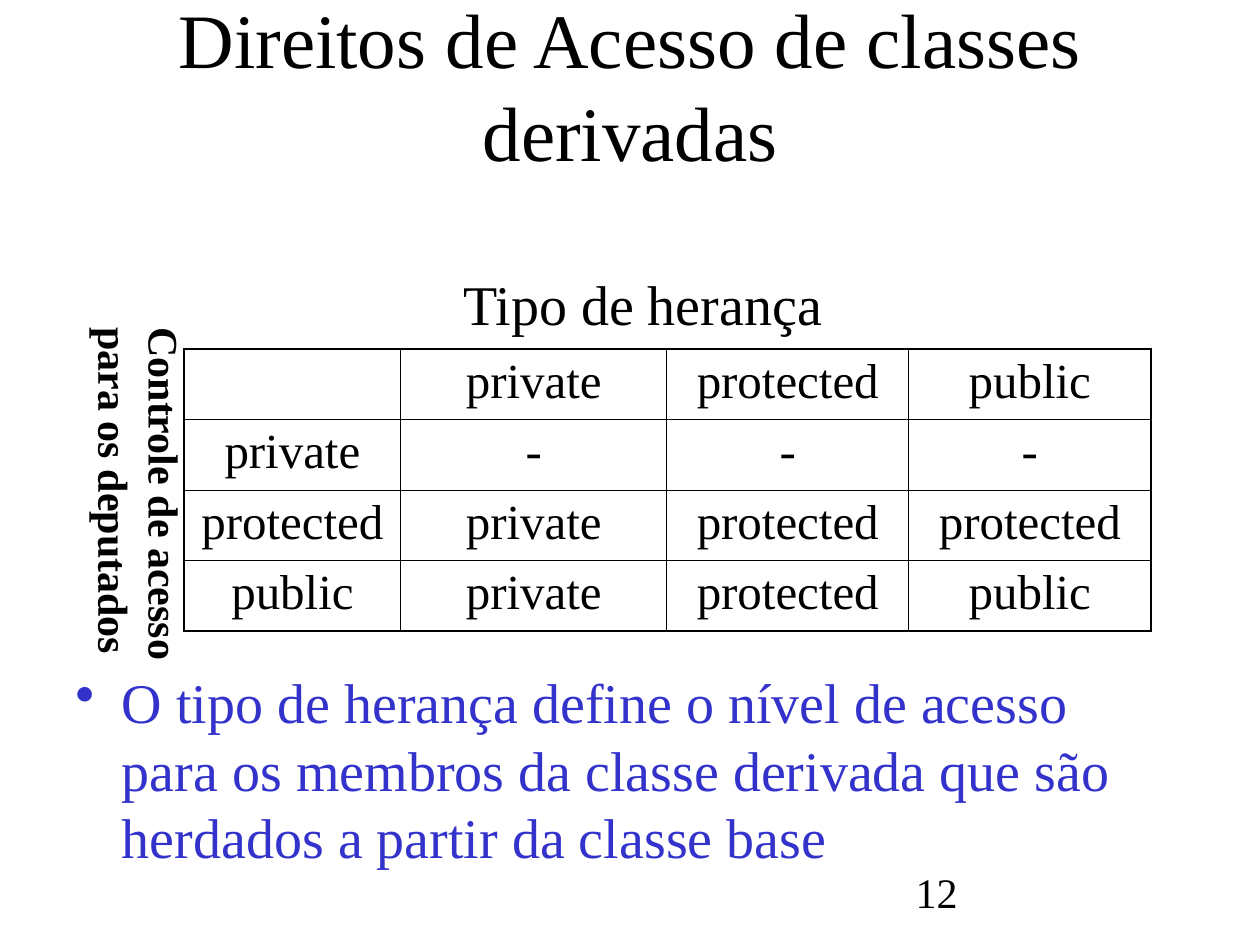
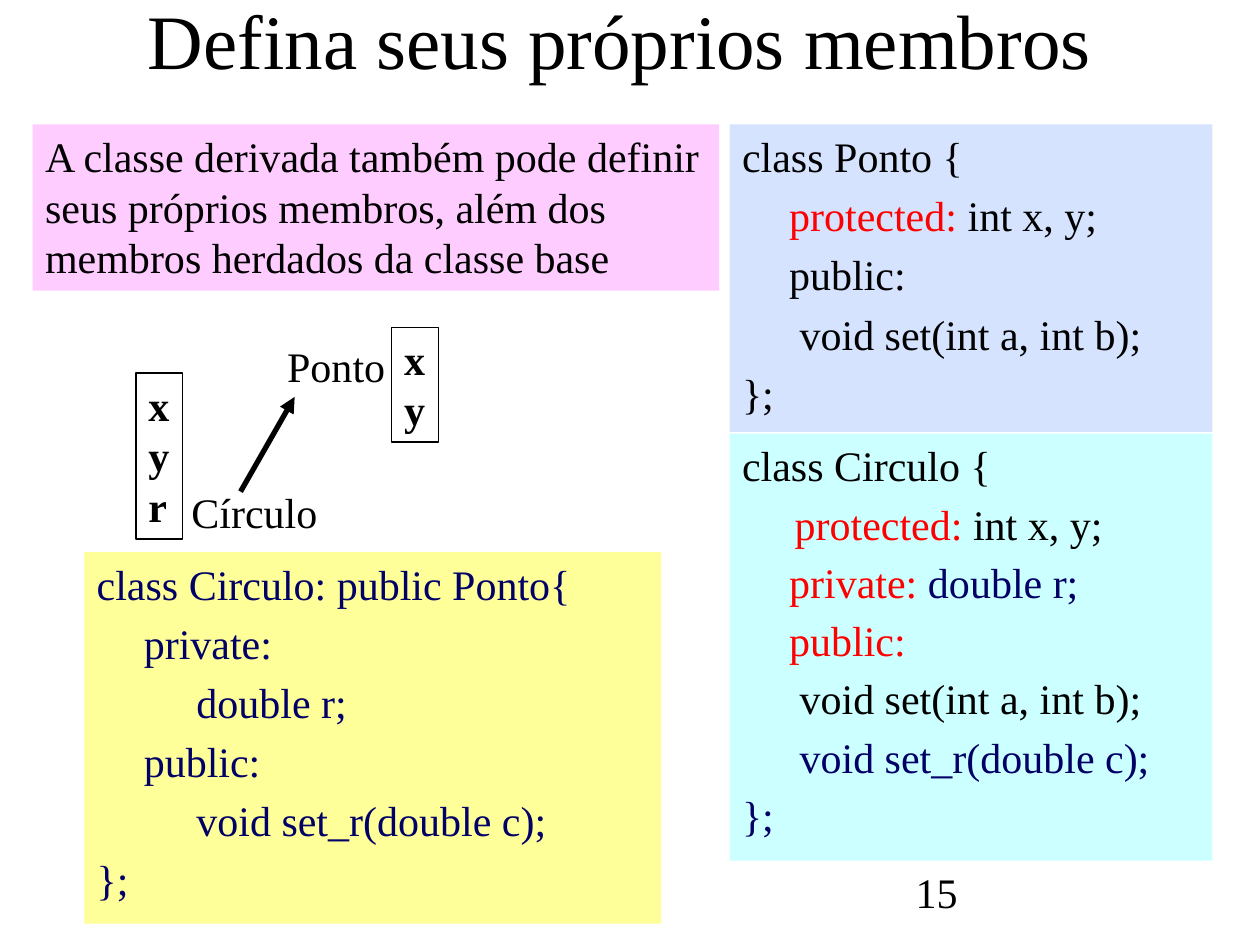
"""Build two slides on access rights and members of derived classes."""
from dataclasses import dataclass

from lxml import etree
from pptx import Presentation
from pptx.dml.color import RGBColor as RGB
from pptx.enum.shapes import MSO_CONNECTOR as LINE, MSO_SHAPE as SHAPE
from pptx.enum.text import MSO_ANCHOR as ANCHOR, MSO_AUTO_SIZE as FIT, PP_ALIGN as ALIGN
from pptx.oxml.ns import qn
from pptx.util import Cm, Pt


@dataclass(frozen=True)
class Theme:
    font: str = "Times New Roman"
    black: str = "000000"
    red: str = "FF0000"
    navy: str = "000066"
    blue: str = "3333CC"
    sky: str = "D5E3FF"
    cyan: str = "CCFFFF"
    yellow: str = "FFFF99"
    pink: str = "FFCCFF"
    title: int = 44
    large: int = 32
    cell: int = 28
    text: int = 24


T = Theme()


def write(tf, *lines, size=T.text, color=T.black, bold=False, align=ALIGN.LEFT, before=0):
    """Fill a frame; a line is a string or (left indent, (text, colour), ...)."""
    for i, line in enumerate(lines):
        p = tf.add_paragraph() if i else tf.paragraphs[0]
        p.alignment = align
        p.space_before = Pt(before)
        indent, *runs = (0, (line, color)) if isinstance(line, str) else line
        if indent:
            p._p.get_or_add_pPr().set("marL", str(Cm(indent)))
        for text, run_color in runs:
            r = p.add_run()
            r.text = text
            r.font.name, r.font.size, r.font.bold = T.font, Pt(size), bold
            r.font.color.rgb = RGB.from_string(run_color)


def add_box(s, left, top, width, height, *lines, fill=None, line=False, wrap=True, **fmt):
    """Add a text box, or a rectangle when it has a fill or an outline."""
    at = [Cm(v) for v in (left, top, width, height)]
    if fill or line:
        sp = s.shapes.add_shape(SHAPE.RECTANGLE, *at)
        sp.shadow.inherit = False
        if fill:
            sp.fill.solid()
            sp.fill.fore_color.rgb = RGB.from_string(fill)
        else:
            sp.fill.background()
        if line:
            sp.line.color.rgb = RGB.from_string(T.black)
            sp.line.width = Pt(0.75)
        else:
            sp.line.fill.background()
    else:
        sp = s.shapes.add_textbox(*at)
    tf = sp.text_frame
    tf.vertical_anchor = ANCHOR.TOP
    tf.word_wrap = wrap
    tf.auto_size = FIT.NONE if wrap else FIT.SHAPE_TO_FIT_TEXT
    write(tf, *lines, **fmt)
    return sp


prs = Presentation()
prs.slide_width, prs.slide_height = Cm(25.4), Cm(19.05)

slides = []
for title, number, at in [
    ("Direitos de Acesso de classes derivadas", "12", (1.91, 0.33, 21.59, 2.74)),
    ("Defina seus próprios membros", "15", (1.7, 0.05, 21.59, 1.47)),
]:
    s = prs.slides.add_slide(prs.slide_layouts[5])
    sp = s.shapes.title
    sp.left, sp.top, sp.width, sp.height = [Cm(v) for v in at]
    sp.text_frame.auto_size = FIT.NONE
    sp.text_frame.vertical_anchor = ANCHOR.MIDDLE
    write(sp.text_frame, title, size=T.title, align=ALIGN.CENTER)
    add_box(s, 18.21, 17.35, 5.28, 1.27, number)
    slides.append(s)
access, members = slides

rows = [
    ["", "private", "protected", "public"],
    ["private", "-", "-", "-"],
    ["protected", "private", "protected", "protected"],
    ["public", "private", "protected", "public"],
]
widths = [4.37, 5.36, 4.88, 4.88]
row_height = 1.42
last = len(rows) - 1
table = access.shapes.add_table(
    len(rows), len(widths), Cm(3.71), Cm(7.04), Cm(sum(widths)), Cm(row_height * len(rows))
).table
table.first_row = table.horz_banding = False
for col, width in zip(table.columns, widths):
    col.width = Cm(width)
for i, row in enumerate(rows):
    table.rows[i].height = Cm(row_height)
    for j, text in enumerate(row):
        cell = table.cell(i, j)
        cell.margin_left = cell.margin_right = Cm(0.25)
        cell.margin_top, cell.margin_bottom = Cm(0.18), Cm(0.13)
        write(cell.text_frame, text, size=T.cell, align=ALIGN.CENTER)
        cell.text_frame.paragraphs[0].line_spacing = 0.93
        tcPr = cell._tc.get_or_add_tcPr()
        for side, outer in (("L", j == 0), ("R", j == last), ("T", i == 0), ("B", i == last)):
            ln = etree.SubElement(tcPr, qn(f"a:ln{side}"), w=str(Pt(1.08 if outer else 0.45)))
            solid = etree.SubElement(ln, qn("a:solidFill"))
            etree.SubElement(solid, qn("a:srgbClr"), val=T.black)
        cell.fill.background()

add_box(access, 9.09, 5.31, 7.82, 1.63, "Tipo de herança", size=T.large)
side_label = add_box(access, 1.4, 6.35, 2.57, 7.04,
                     "Controle de acesso", "para os deputados", bold=True, wrap=False)
side_label.text_frame._txBody.bodyPr.set("vert", "eaVert")

note = add_box(
    access, 1.27, 13.34, 22.23, 4.29,
    "O tipo de herança define o nível de acesso para os membros da classe derivada "
    "que são herdados a partir da classe base",
    size=T.large, color=T.blue, before=6)
pPr = note.text_frame.paragraphs[0]._p.get_or_add_pPr()
pPr.set("marL", str(Cm(0.94)))
pPr.set("indent", str(Cm(-0.94)))
etree.SubElement(etree.SubElement(pPr, qn("a:buClr")), qn("a:srgbClr"), val=T.blue)
etree.SubElement(pPr, qn("a:buChar"), char="•")

add_box(members, 5.54, 6.73, 2.49, 1.27, "Ponto", wrap=False)
add_box(members, 3.61, 9.68, 3.05, 1.27, "Círculo", wrap=False)
add_box(members, 7.9, 6.6, 0.94, 2.31, "x", "y", line=True, wrap=False, bold=True)
add_box(members, 2.74, 7.52, 0.94, 3.35, "x", "y", "r", line=True, wrap=False, bold=True)

arrow = members.shapes.add_connector(LINE.STRAIGHT, Cm(4.85), Cm(9.91), Cm(5.94), Cm(8))
arrow.line.color.rgb = RGB.from_string(T.black)
arrow.line.width = Pt(3)
etree.SubElement(arrow.line._get_or_add_ln(), qn("a:tailEnd"), type="triangle")
etree.SubElement(arrow._element.spPr, qn("a:effectLst"))

add_box(members, 0.66, 2.51, 13.84, 3.35,
        "A classe derivada também pode definir seus próprios membros, "
        "além dos membros herdados da classe base", fill=T.pink)

tab, body, deep = 0.95, 1.16, 2.01
add_box(
    members, 14.71, 2.51, 9.73, 6.2,
    "class Ponto {",
    (tab, ("protected: ", T.red), ("int x, y;", T.black)),
    (tab, ("public:", T.black)),
    (body, ("void set(int a, int b);", T.black)),
    "};",
    fill=T.sky, before=5)
add_box(
    members, 14.71, 8.74, 9.73, 8.61,
    "class Circulo {",
    (1.06, ("protected: ", T.red), ("int x, y;", T.black)),
    (tab, ("private: ", T.red), ("double r;", T.navy)),
    (tab, ("public:", T.red)),
    (body, ("void set(int a, int b);", T.black)),
    (body, ("void set_r(double c);", T.navy)),
    "};",
    fill=T.cyan, color=T.navy, before=4.5)
members.shapes[-1].text_frame.paragraphs[0].runs[0].font.color.rgb = RGB.from_string(T.black)
add_box(
    members, 1.7, 11.13, 11.63, 7.49,
    "class Circulo: public Ponto{",
    (tab, ("private:", T.navy)),
    (deep, ("double r;", T.navy)),
    (tab, ("public:", T.navy)),
    (deep, ("void set_r(double c);", T.navy)),
    "};",
    fill=T.yellow, color=T.navy, before=5)

prs.save("out.pptx")
